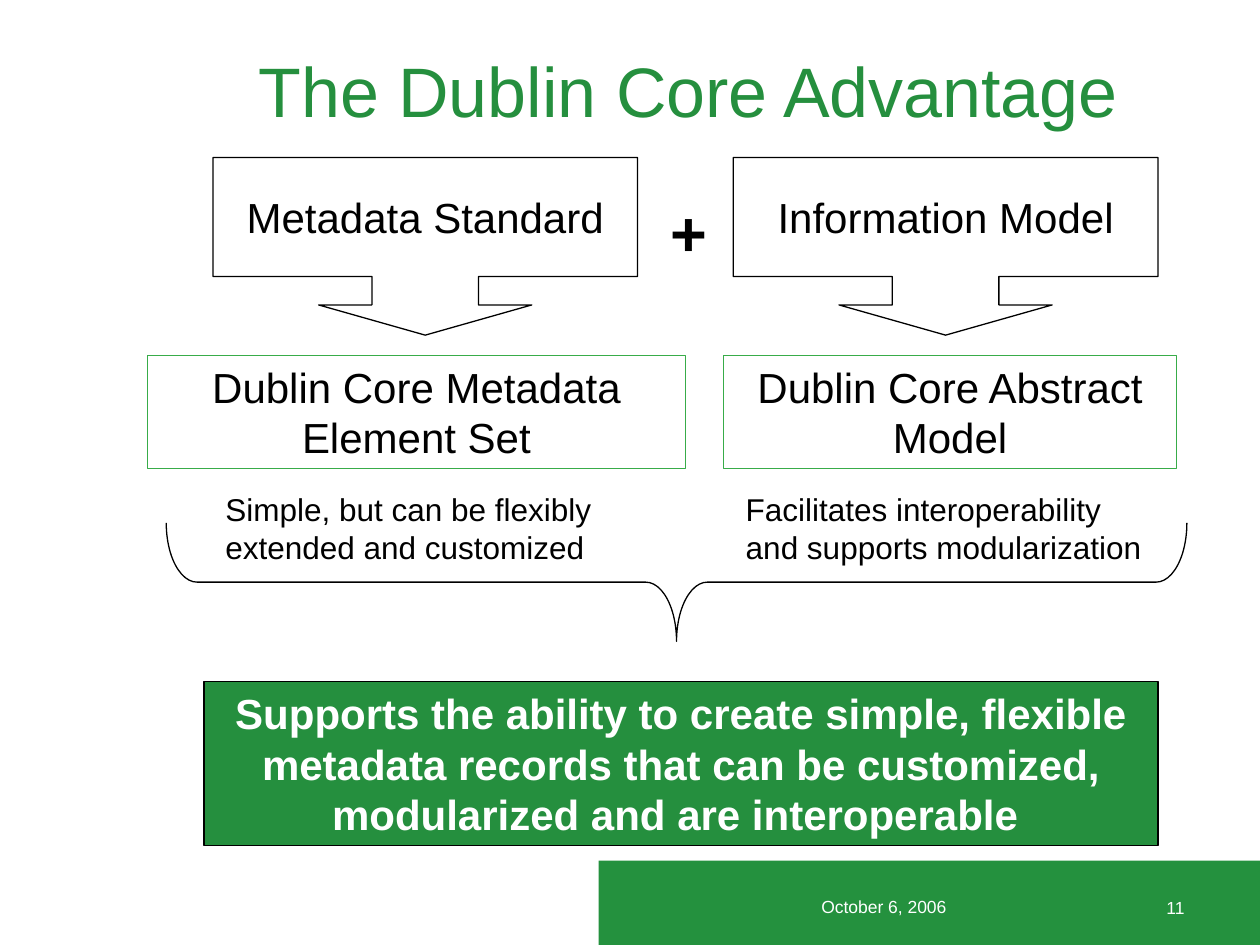
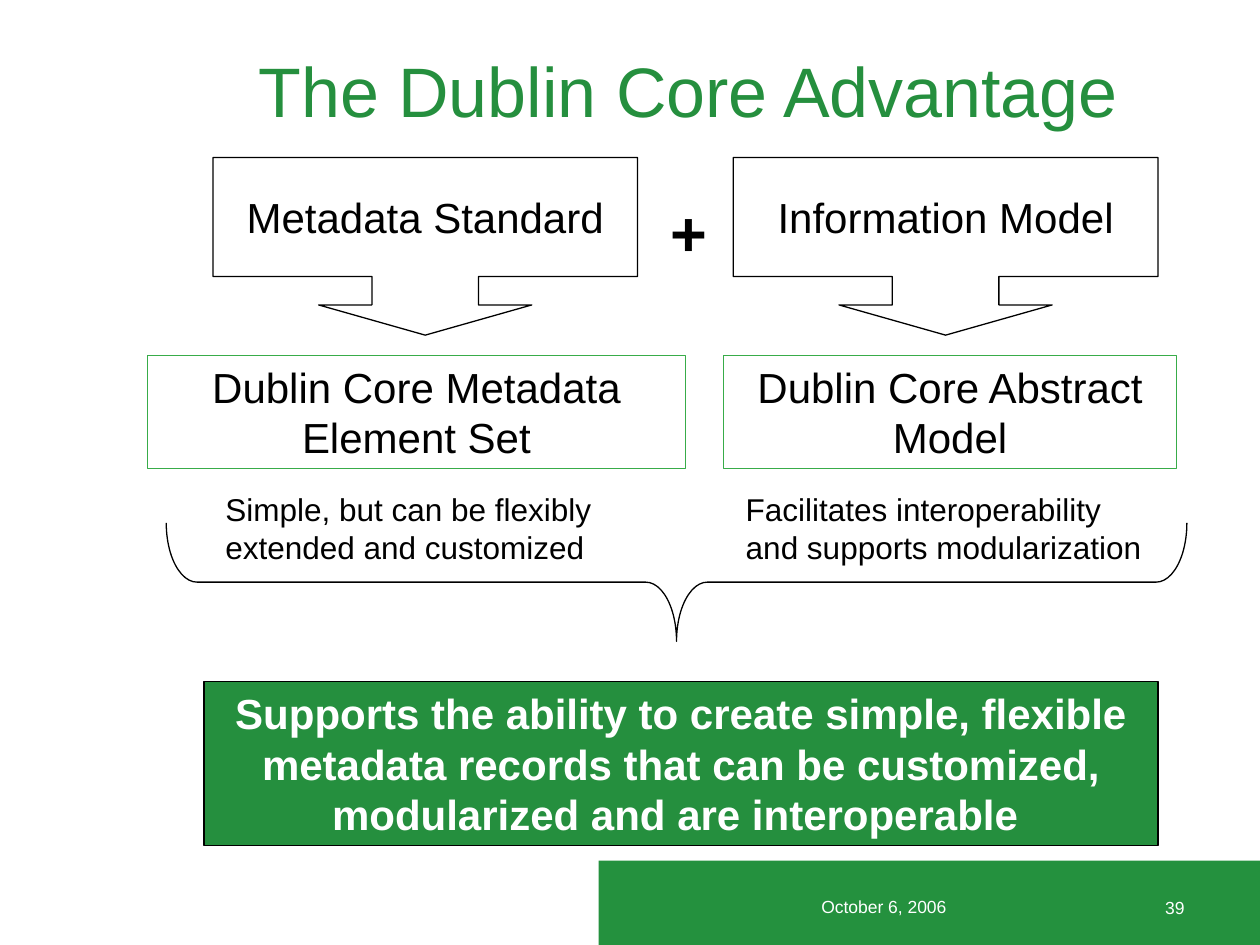
from pptx import Presentation
from pptx.dml.color import RGBColor
from pptx.enum.shapes import MSO_SHAPE
from pptx.enum.text import MSO_ANCHOR, PP_ALIGN
from pptx.util import Inches, Pt

RECT, CALLOUT, BRACE = MSO_SHAPE.RECTANGLE, MSO_SHAPE.DOWN_ARROW_CALLOUT, MSO_SHAPE.LEFT_BRACE
LEFT, CENTER, RIGHT = PP_ALIGN.LEFT, PP_ALIGN.CENTER, PP_ALIGN.RIGHT
TOP, MIDDLE = MSO_ANCHOR.TOP, MSO_ANCHOR.MIDDLE

# Content
TITLE = "The Dublin Core Advantage"
DATE = "October 6, 2006"
PAGE_NUMBERS = [11, 39]
PILLARS = [
    {"idea": "Metadata Standard",
     "product": "Dublin Core Metadata Element Set",
     "benefit": "Simple, but can be flexibly extended and customized"},
    {"idea": "Information Model",
     "product": "Dublin Core Abstract Model",
     "benefit": "Facilitates interoperability and supports modularization"},
]
RESULT = ("Supports the ability to create simple, flexible metadata records "
          "that can be customized, modularized and are interoperable ")

# Shared look
COLORS = {"band": "24913E", "green": "258F3E", "outline": "38AC49",
          "ink": "000000", "paper": "FFFFFF"}
FONT = "Arial"
WIDTH, HEIGHT = 10, 7.5

# Grid in inches: two columns, with rows for idea, product and benefit
COLUMN_LEFT, COLUMN_STEP, COLUMN_WIDTH = 1.69, 4.13, 3.37
PRODUCT_SPANS = [(1.17, 4.27), (5.74, 3.6)]
BENEFIT_WIDTHS = [COLUMN_WIDTH, 3.45]
IDEA_ROW, PRODUCT_ROW, BENEFIT_ROW, RESULT_ROW = (1.25, 1.41), (2.82, 0.9), (3.84, 0.7), (5.41, 1.3)
COLUMNS_RIGHT = COLUMN_LEFT + COLUMN_STEP + COLUMN_WIDTH
RESULT_LEFT = 1.62
BAND_LEFT, BAND_TOP = 4.75, 6.83
BRACE_LEFT, BRACE_TOP, BRACE_SPAN, BRACE_DEPTH = 1.32, 4.15, 8.1, 0.94


def rgb(name):
    return RGBColor.from_string(COLORS[name])


def write(box, text, size, color="ink", align=CENTER, bold=False, anchor=TOP, wrap=True):
    frame = box.text_frame
    frame.text = text
    frame.word_wrap = wrap
    frame.vertical_anchor = anchor
    paragraph = frame.paragraphs[0]
    paragraph.alignment = align
    font = paragraph.runs[0].font
    font.name, font.size, font.bold = FONT, Pt(size), bold
    font.color.rgb = rgb(color)


def add_text(slide, area, text, size, **style):
    write(slide.shapes.add_textbox(*map(Inches, area)), text, size, **style)


def add_figure(slide, kind, area, fill=None, line=None):
    figure = slide.shapes.add_shape(kind, *map(Inches, area))
    figure.shadow.inherit = False
    if fill:
        figure.fill.solid()
        figure.fill.fore_color.rgb = rgb(fill)
    else:
        figure.fill.background()
    if line:
        figure.line.color.rgb = rgb(line)
        figure.line.width = Pt(0.75)
    else:
        figure.line.fill.background()
    return figure


def adjust(figure, values):
    for index, value in enumerate(values):
        figure.adjustments[index] = value


def add_frame(slide, page_number):
    """Footer band, title, date and page number."""
    add_figure(slide, RECT, (BAND_LEFT, BAND_TOP, WIDTH - BAND_LEFT, HEIGHT - BAND_TOP), fill="band")
    add_text(slide, (0.92, 0.33, WIDTH - 0.92, 0.77), TITLE, 40, color="green")
    add_text(slide, (8.83, 7.07, 0.67, 0.43), str(page_number), 10, color="paper", align=RIGHT)
    add_text(slide, (6.42, 7.06, 1.25, 0.44), DATE, 10, color="paper", align=LEFT)


def add_pillar(slide, column, pillar):
    """One column: idea, the product it leads to, and its benefit."""
    left = COLUMN_LEFT + column * COLUMN_STEP
    idea = add_figure(slide, CALLOUT, (left, IDEA_ROW[0], COLUMN_WIDTH, IDEA_ROW[1]), line="ink")
    adjust(idea, (0.6, 0.6, 0.17, 0.67))
    write(idea, pillar["idea"], 24, anchor=MIDDLE, wrap=False)

    product_left, product_width = PRODUCT_SPANS[column]
    product = add_figure(slide, RECT, (product_left, PRODUCT_ROW[0], product_width, PRODUCT_ROW[1]),
                         line="outline")
    write(product, pillar["product"], 24)

    add_text(slide, (left, BENEFIT_ROW[0], BENEFIT_WIDTHS[column], BENEFIT_ROW[1]),
             pillar["benefit"], 18, align=LEFT)


def add_conclusion(slide):
    """Brace that gathers both columns, and the result below it."""
    # The brace stands upright before it is turned about its centre
    turn = (BRACE_SPAN - BRACE_DEPTH) / 2
    brace = add_figure(slide, BRACE, (BRACE_LEFT + turn, BRACE_TOP - turn, BRACE_DEPTH, BRACE_SPAN),
                       line="ink")
    brace.rotation = 270
    adjust(brace, (0.26, 0.5))

    result = add_figure(slide, RECT,
                        (RESULT_LEFT, RESULT_ROW[0], COLUMNS_RIGHT - RESULT_LEFT, RESULT_ROW[1]),
                        fill="green", line="ink")
    write(result, RESULT, 24, color="paper", bold=True)


def main():
    deck = Presentation()
    deck.slide_width, deck.slide_height = Inches(WIDTH), Inches(HEIGHT)
    for page_number in PAGE_NUMBERS:
        slide = deck.slides.add_slide(deck.slide_layouts[6])
        add_frame(slide, page_number)
        for column, pillar in enumerate(PILLARS):
            add_pillar(slide, column, pillar)
        add_text(slide, (5.22, 1.49, 0.45, 0.7), "+", 36, bold=True)
        add_conclusion(slide)
    deck.save("out.pptx")


if __name__ == "__main__":
    main()
